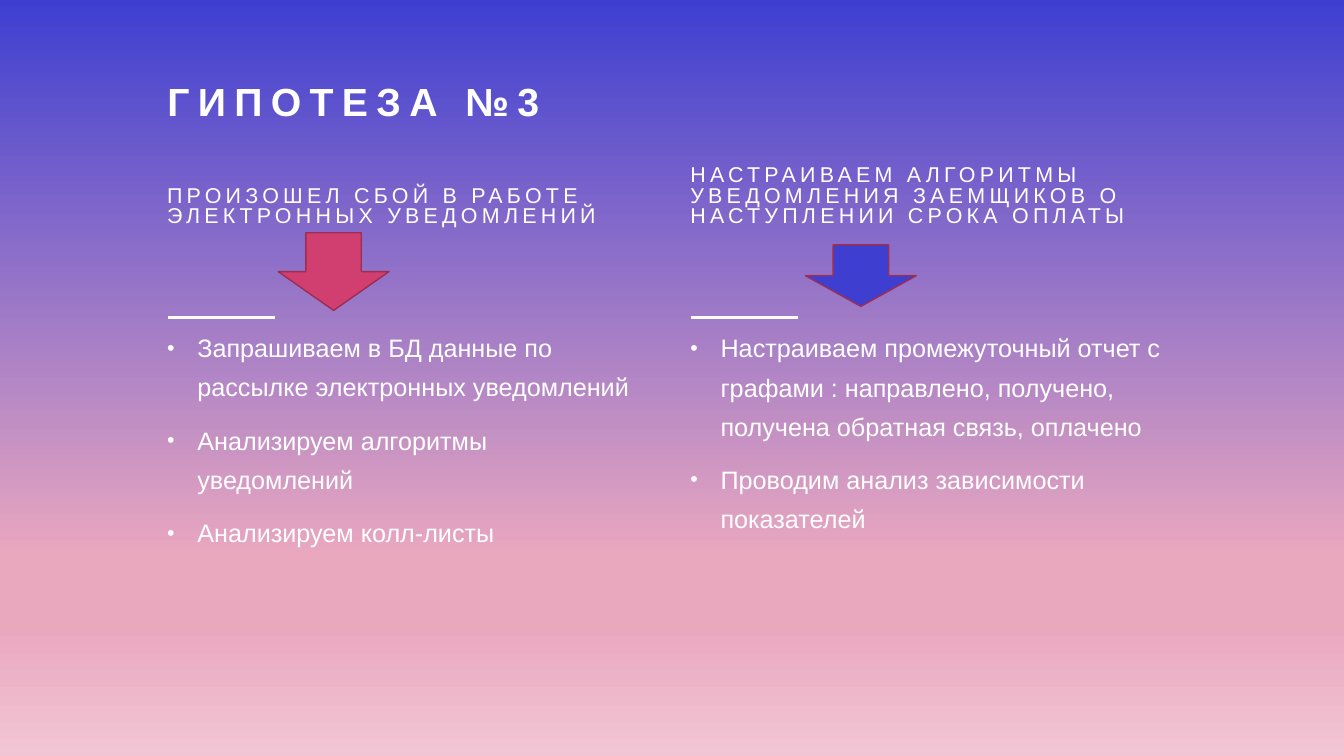
from dataclasses import dataclass

from lxml import etree
from pptx import Presentation
from pptx.dml.color import RGBColor
from pptx.enum.shapes import MSO_CONNECTOR, MSO_SHAPE
from pptx.enum.text import MSO_ANCHOR, MSO_AUTO_SIZE, PP_ALIGN
from pptx.oxml import parse_xml
from pptx.oxml.ns import nsdecls, qn
from pptx.shapes.base import BaseShape
from pptx.slide import Slide
from pptx.text.text import TextFrame
from pptx.util import Inches, Pt

LINE = MSO_CONNECTOR.STRAIGHT
ARROW = MSO_SHAPE.DOWN_ARROW
TOP, BOTTOM = MSO_ANCHOR.TOP, MSO_ANCHOR.BOTTOM
FIXED = MSO_AUTO_SIZE.NONE
LEFT = PP_ALIGN.LEFT
WIDE, HIGH = Inches(13.333), Inches(7.5)


@dataclass(frozen=True)
class Theme:
    font: str = "Arial"
    text: str = "FFFFFF"
    blue: str = "3E3FD1"
    rose: str = "D13E70"
    edge: str = "9B2E53"
    glow: str = "2670C8"
    sky: tuple = ((0, "3E3FD1"), (74, "EAA8BF"), (83, "EAA8BF"), (100, "F1C5D4"))
    title: float = 28
    head: float = 15.3
    body: float = 18
    rule: float = 2.5


@dataclass(frozen=True)
class Box:
    left: float
    top: float
    wide: float
    high: float


@dataclass(frozen=True)
class Style:
    size: float
    lead: float
    gap: float = 0
    track: int = 0
    bold: bool = False
    dots: bool = False


@dataclass(frozen=True)
class Column:
    head: str
    items: tuple[str, ...]
    high: float
    arrow: Box
    fill: str


THEME = Theme()
TITLE = Style(THEME.title, 1.2, track=6, bold=True)
HEAD = Style(THEME.head, 0.8, gap=10, track=3)
BODY = Style(THEME.body, 1.3, gap=10, dots=True)
START, STEP, SPAN = 11.7, 38.93, 36.9
COLUMNS = (
    Column(
        "ПРОИЗОШЕЛ СБОЙ В РАБОТЕ ЭЛЕКТРОННЫХ УВЕДОМЛЕНИЙ",
        (
            "Запрашиваем в БД данные по рассылке электронных уведомлений",
            "Анализируем алгоритмы уведомлений",
            "Анализируем колл-листы",
        ),
        44.4, Box(9, 30.8, 8.25, 10.27), THEME.rose,
    ),
    Column(
        "НАСТРАИВАЕМ АЛГОРИТМЫ УВЕДОМЛЕНИЯ ЗАЕМЩИКОВ О НАСТУПЛЕНИИ СРОКА ОПЛАТЫ",
        (
            "Настраиваем промежуточный отчет с графами : направлено, получено, "
            "получена обратная связь, оплачено",
            "Проводим анализ зависимости показателей",
        ),
        31.87, Box(9.3, 32.4, 8.25, 8.13), THEME.blue,
    ),
)


def across(share: float) -> int:
    return round(WIDE * share / 100)


def down(share: float) -> int:
    return round(HIGH * share / 100)


def place(box: Box) -> tuple[int, int, int, int]:
    return across(box.left), down(box.top), across(box.wide), down(box.high)


def write(frame: TextFrame, lines: tuple[str, ...], style: Style, anchor: MSO_ANCHOR) -> None:
    frame.word_wrap = True
    frame.auto_size = FIXED
    frame.vertical_anchor = anchor
    for row, line in enumerate(lines):
        para = frame.add_paragraph() if row else frame.paragraphs[0]
        para.alignment = LEFT
        para.line_spacing = style.lead
        para.space_before = Pt(style.gap)
        if style.dots:
            props = para._p.get_or_add_pPr()
            props.set("marL", str(Inches(0.3)))
            props.set("indent", str(-Inches(0.3)))
            etree.SubElement(props, qn("a:buSzPct")).set("val", "85000")
            etree.SubElement(props, qn("a:buFont")).set("typeface", THEME.font)
            etree.SubElement(props, qn("a:buChar")).set("char", "•")
        run = para.add_run()
        run.text = line
        font = run.font
        font.name, font.size, font.bold = THEME.font, Pt(style.size), style.bold
        font.color.rgb = RGBColor.from_string(THEME.text)
        if style.track:
            run._r.get_or_add_rPr().set("spc", str(style.track * 100))


def add_sky(slide: Slide) -> None:
    fill = slide.background.fill
    fill.gradient()
    fill.gradient_angle = 270
    stops = next(slide.element.iter(qn("a:gsLst")))
    for stop in list(stops):
        stops.remove(stop)
    for share, color in THEME.sky:
        stops.append(parse_xml(
            f'<a:gs {nsdecls("a")} pos="{share * 1000}"><a:srgbClr val="{color}"/></a:gs>'
        ))


def add_title(shape: BaseShape) -> None:
    shape.left, shape.top, shape.width, shape.height = place(Box(START, 5.07, 75.75, 12))
    write(shape.text_frame, ("ГИПОТЕЗА №3",), TITLE, BOTTOM)
    props = shape.text_frame.paragraphs[0].runs[0]._r.get_or_add_rPr()
    props.find(qn("a:solidFill")).addnext(parse_xml(
        f'<a:effectLst {nsdecls("a")}><a:outerShdw blurRad="50800" dist="38100" dir="5400000">'
        f'<a:srgbClr val="{THEME.glow}"/></a:outerShdw></a:effectLst>'
    ))


def add_text(slide: Slide, box: Box, lines: tuple[str, ...], style: Style, anchor: MSO_ANCHOR) -> None:
    write(slide.shapes.add_textbox(*place(box)).text_frame, lines, style, anchor)


def add_rule(slide: Slide, left: float) -> None:
    rule = slide.shapes.add_connector(LINE, across(left), down(42), across(left + 7.95), down(42))
    rule.line.color.rgb = RGBColor.from_string(THEME.text)
    rule.line.width = Pt(THEME.rule)
    etree.SubElement(rule._element.spPr, qn("a:effectLst"))


def add_arrow(slide: Slide, box: Box, color: str) -> None:
    arrow = slide.shapes.add_shape(ARROW, *place(box))
    arrow.shadow.inherit = False
    arrow.fill.solid()
    arrow.fill.fore_color.rgb = RGBColor.from_string(color)
    arrow.line.color.rgb = RGBColor.from_string(THEME.edge)
    arrow.line.width = Pt(1)


def add_column(slide: Slide, left: float, col: Column) -> None:
    add_rule(slide, left + 0.8)
    add_text(slide, Box(left, 20.53, SPAN, 10.27), (col.head,), HEAD, BOTTOM)
    add_text(slide, Box(left, 42.13, SPAN, col.high), col.items, BODY, TOP)
    spot = col.arrow
    add_arrow(slide, Box(left + spot.left, spot.top, spot.wide, spot.high), col.fill)


def main() -> None:
    deck = Presentation()
    deck.slide_width, deck.slide_height = WIDE, HIGH
    slide = deck.slides.add_slide(deck.slide_layouts[5])
    add_sky(slide)
    add_title(slide.shapes.title)
    for place_no, col in enumerate(COLUMNS):
        add_column(slide, START + place_no * STEP, col)
    deck.save("out.pptx")


if __name__ == "__main__":
    main()
